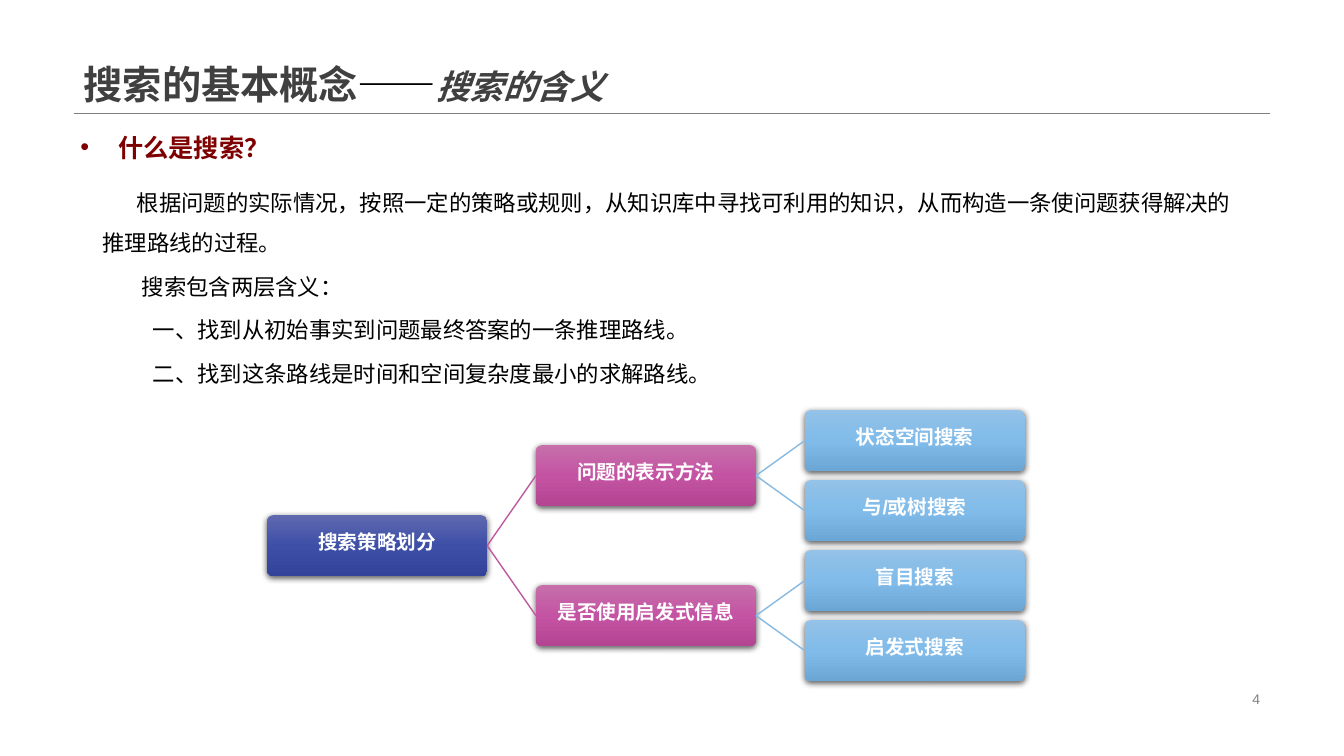
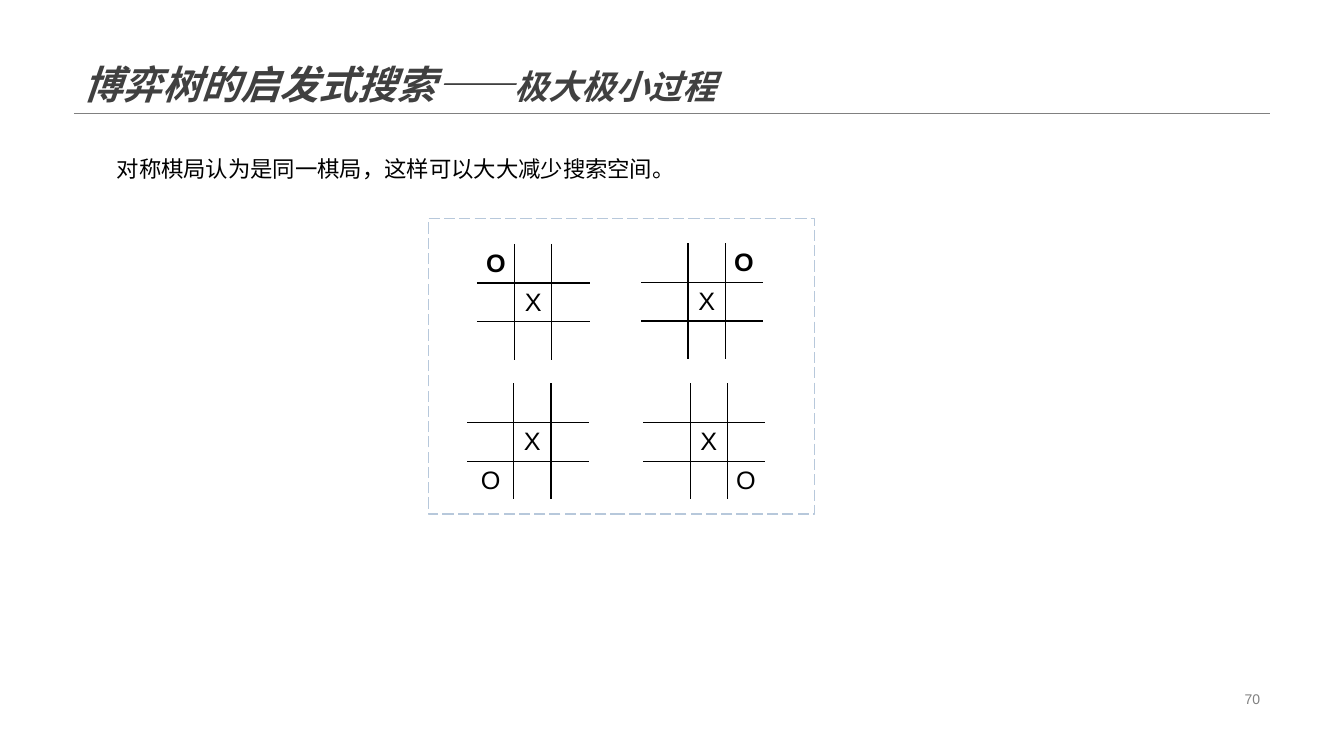
import copy

import pptx
import pptx.dml.color
import pptx.enum.dml
import pptx.enum.shapes
import pptx.enum.text
import pptx.oxml
import pptx.oxml.ns
import pptx.util

Pt = pptx.util.Pt
RGBColor = pptx.dml.color.RGBColor
SHAPE = pptx.enum.shapes.MSO_SHAPE
STRAIGHT = pptx.enum.shapes.MSO_CONNECTOR.STRAIGHT
ALIGN = pptx.enum.text.PP_ALIGN
ANCHOR = pptx.enum.text.MSO_ANCHOR
qn = pptx.oxml.ns.qn
NS = pptx.oxml.ns.nsdecls("a")

BLACK = RGBColor(0x00, 0x00, 0x00)
WHITE = RGBColor(0xFF, 0xFF, 0xFF)
GRAY = RGBColor(0x80, 0x80, 0x80)
DARK_GRAY = RGBColor(0x40, 0x40, 0x40)
DARK_RED = RGBColor(0x7E, 0x00, 0x00)
PALE_BLUE = RGBColor(0xB7, 0xC8, 0xDB)
PINK_LINE = RGBColor(0xBF, 0x59, 0xA1)
SKY_LINE = RGBColor(0x85, 0xBA, 0xE4)
INDIGO = [RGBColor(0x5F, 0x69, 0xAF), RGBColor(0x3E, 0x4F, 0xA8), RGBColor(0x33, 0x43, 0x99)]
PINK = [RGBColor(0xC6, 0x6F, 0xAB), RGBColor(0xC4, 0x54, 0xA3), RGBColor(0xB4, 0x45, 0x93)]
SKY = [RGBColor(0x94, 0xC2, 0xE8), RGBColor(0x80, 0xBB, 0xE9), RGBColor(0x6C, 0xA6, 0xD5)]

TITLE = {"size": Pt(28), "bold": True, "color": DARK_GRAY}
SUBTITLE = {**TITLE, "size": Pt(24), "italic": True}
PAGE_NUMBER = {"size": Pt(10), "color": GRAY}
HEADING = {"size": Pt(18), "bold": True, "color": DARK_RED}
BODY = {"size": Pt(16)}
SERIF_BODY = {"size": Pt(16), "name": "Times New Roman"}
NODE = {"size": Pt(14), "bold": True, "color": WHITE}
MARK = {"size": Pt(18)}


def add_run(paragraph, text, style):
    run = paragraph.add_run()
    run.text = text
    values = {"name": "Arial", "color": BLACK, **style}
    run.font.color.rgb = values.pop("color")
    for attribute, value in values.items():
        setattr(run.font, attribute, value)


def add_text(slide, left, top, width, height, runs, anchor=ANCHOR.TOP):
    """Add a wrapping text box whose first paragraph holds the runs."""
    frame = slide.shapes.add_textbox(Pt(left), Pt(top), Pt(width), Pt(height)).text_frame
    frame.word_wrap = True
    frame.vertical_anchor = anchor
    for text, style in runs:
        add_run(frame.paragraphs[0], text, style)
    return frame


deck = pptx.Presentation()
deck.slide_width = Pt(960)
deck.slide_height = Pt(540)
strokes = []

# Title, rule and page number of every slide
headers = [
    ([("搜索的基本概念", TITLE), ("——", {**TITLE, "color": BLACK}), ("搜索的含义", SUBTITLE)], "4"),
    ([("博弈树的启发式搜索——", {**TITLE, "italic": True}), ("极大极小过程", SUBTITLE)], "70"),
]
for title_runs, number in headers:
    slide = deck.slides.add_slide(deck.slide_layouts[6])
    rule = slide.shapes.add_connector(STRAIGHT, Pt(52.8), Pt(81), Pt(907.2), Pt(81))
    strokes.append((rule, GRAY, 0.25))
    title = add_text(slide, 52.8, 0, 854.4, 81, title_runs, ANCHOR.BOTTOM)
    title.paragraphs[0].line_spacing = 0.9
    footer = add_text(slide, 678, 491, 229.2, 16.5, [(number, PAGE_NUMBER)], ANCHOR.MIDDLE)
    footer.paragraphs[0].alignment = ALIGN.RIGHT
concept, minimax = deck.slides

# Meaning of search
heading = add_text(concept, 50.4, 90.7, 160, 29, [("什么是搜索？", HEADING)])
bullet = heading.paragraphs[0]._p.get_or_add_pPr()
bullet.set("marL", str(Pt(27)))
bullet.set("indent", str(Pt(-27)))
bullet.append(pptx.oxml.parse_xml(f'<a:buFont {NS} typeface="Arial"/>'))
bullet.append(pptx.oxml.parse_xml(f'<a:buChar {NS} char="•"/>'))

meanings = [
    ("根据问题的实际情况，按照一定的策略或规则，从知识库中寻找可利用的知识，从而构造一条使问题获得解决的推理路线的过程。", 0, 24.5),
    ("搜索包含两层含义：", 0, 28),
    ("一、找到从初始事实到问题最终答案的一条推理路线。", 36, 0),
    ("二、找到这条路线是时间和空间复杂度最小的求解路线。", 36, 0),
]
explanation = add_text(concept, 66.2, 121.7, 828, 165, [])
for index, (text, margin, first_line) in enumerate(meanings):
    paragraph = explanation.add_paragraph() if index else explanation.paragraphs[0]
    paragraph.line_spacing = 1.5
    if index:
        paragraph.space_before = Pt(2.5)
    layout = paragraph._p.get_or_add_pPr()
    layout.set("marL", str(Pt(margin)))
    layout.set("indent", str(Pt(first_line)))
    add_run(paragraph, text, SERIF_BODY)

# Tree of search strategies: label, level, row (in leaf heights), parent
LEVELS = [(INDIGO, None), (PINK, PINK_LINE), (SKY, SKY_LINE)]
strategies = [
    ("搜索策略划分", 0, 1.5, None),
    ("问题的表示方法", 1, 0.5, "搜索策略划分"),
    ("状态空间搜索", 2, 0, "问题的表示方法"),
    ("与/或树搜索", 2, 1, "问题的表示方法"),
    ("是否使用启发式信息", 1, 2.5, "搜索策略划分"),
    ("盲目搜索", 2, 2, "是否使用启发式信息"),
    ("启发式搜索", 2, 3, "是否使用启发式信息"),
]
nodes = {}
for label, level, row, parent in strategies:
    gradient, branch_color = LEVELS[level]
    node = concept.shapes.add_shape(
        SHAPE.ROUNDED_RECTANGLE, Pt(190.8 + 192 * level), Pt(293 + 50 * row), Pt(157.2), Pt(43.5))
    nodes[label] = node
    node.adjustments[0] = 0.1
    node.line.fill.background()
    node.fill.gradient()
    node.fill.gradient_angle = 270
    stop_list = node._element.spPr.find(".//" + qn("a:gsLst"))
    stop_list.append(copy.deepcopy(stop_list[0]))
    for index, (stop, color) in enumerate(zip(node.fill.gradient_stops, gradient)):
        stop.position = index / 2
        stop.color.rgb = color
    node.shadow.inherit = False
    node._element.spPr.find(qn("a:effectLst")).append(pptx.oxml.parse_xml(
        f'<a:outerShdw {NS} blurRad="{Pt(4.5)}" dist="{Pt(1.5)}" dir="5400000" rotWithShape="0">'
        '<a:srgbClr val="000000"><a:alpha val="63000"/></a:srgbClr></a:outerShdw>'))
    frame = node.text_frame
    frame.word_wrap = True
    frame.vertical_anchor = ANCHOR.MIDDLE
    frame.margin_left = frame.margin_right = frame.margin_top = Pt(1)
    frame.margin_bottom = Pt(5)
    frame.paragraphs[0].alignment = ALIGN.CENTER
    frame.paragraphs[0].line_spacing = 0.9
    add_run(frame.paragraphs[0], label, NODE)
    if parent:
        branch = concept.shapes.add_connector(STRAIGHT, 0, 0, 0, 0)
        branch.begin_connect(nodes[parent], 3)
        branch.end_connect(node, 1)
        strokes.append((branch, branch_color, 1))

# Symmetric boards
add_text(minimax, 76.3, 107.3, 460, 26.6, [("对称棋局认为是同一棋局，这样可以大大减少搜索空间。", BODY)])
border = minimax.shapes.add_shape(SHAPE.RECTANGLE, Pt(306), Pt(156.2), Pt(276), Pt(211))
border.shadow.inherit = False
border.fill.background()
border.line.color.rgb = PALE_BLUE
border.line.width = Pt(1)
border.line.dash_style = pptx.enum.dml.MSO_LINE.LONG_DASH

# Left, top, first column width, cell of the O, whether the O is bold
boards = [
    (341, 174.6, 26.6, (0, 0), True),
    (458.5, 174.2, 33, (0, 2), True),
    (334, 274.3, 33, (2, 0), False),
    (460, 274.3, 33, (2, 2), False),
]
for left, top, first_width, corner, bold in boards:
    widths = [first_width, 26.6, 26.6]
    board = minimax.shapes.add_table(3, 3, Pt(left), Pt(top), Pt(sum(widths)), Pt(82.8)).table
    board.first_row = board.horz_banding = False
    marks = {corner: ("O", {**MARK, "bold": bold}), (1, 1): ("X", MARK)}
    for row in range(3):
        board.rows[row].height = Pt(27.6)
        board.columns[row].width = Pt(widths[row])
        for column in range(3):
            cell = board.cell(row, column)
            cell.margin_left = cell.margin_right = cell.margin_top = cell.margin_bottom = 0
            cell.vertical_anchor = ANCHOR.MIDDLE
            outer_sides = {"L": column == 0, "R": column == 2, "T": row == 0, "B": row == 2}
            for side, outer in outer_sides.items():
                cell._tc.get_or_add_tcPr().append(pptx.oxml.parse_xml(
                    f'<a:ln{side} {NS} w="{Pt(1)}"><a:solidFill>'
                    f'<a:srgbClr val="{WHITE if outer else BLACK}"/></a:solidFill></a:ln{side}>'))
            cell.fill.background()
            if (row, column) in marks:
                paragraph = cell.text_frame.paragraphs[0]
                paragraph.alignment = ALIGN.CENTER
                add_run(paragraph, *marks[row, column])

for stroke, color, width in strokes:
    stroke.line.color.rgb = color
    stroke.line.width = Pt(width)
    stroke._element.spPr.append(pptx.oxml.parse_xml(f"<a:effectLst {NS}/>"))

deck.save("out.pptx")
